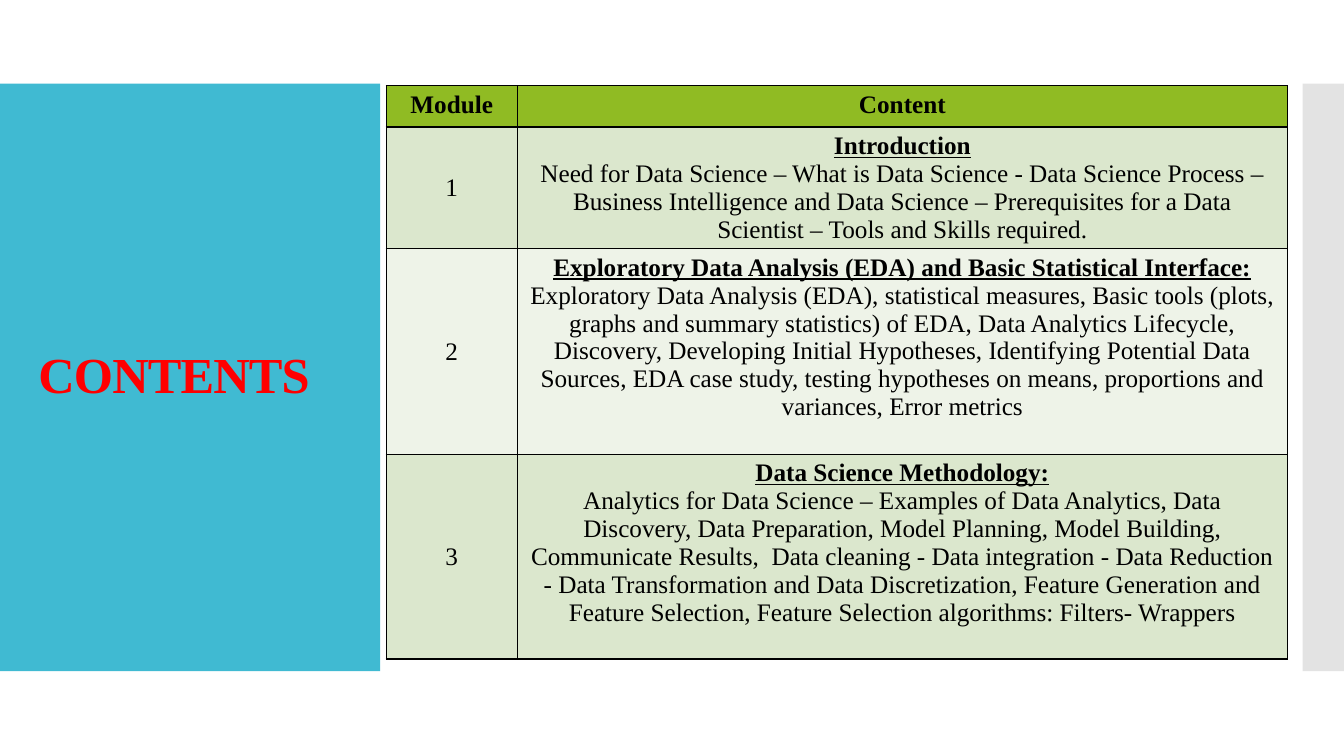
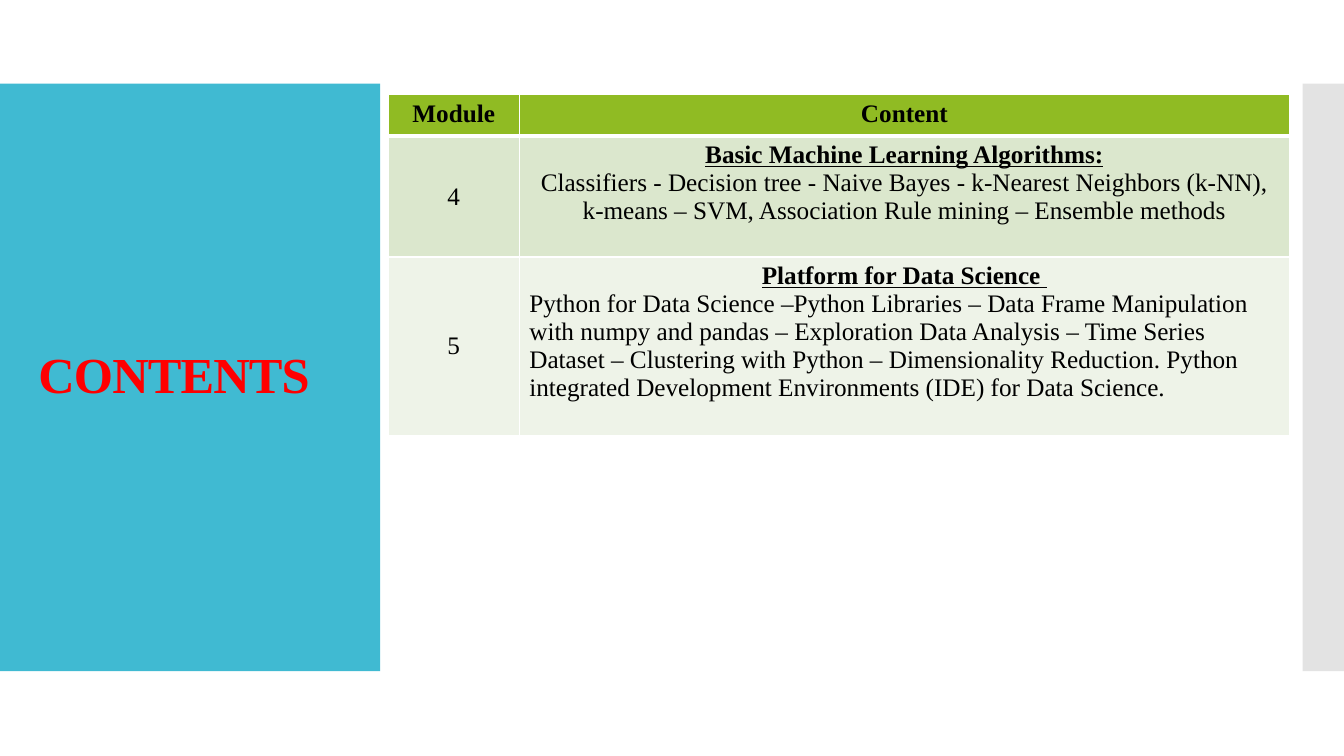
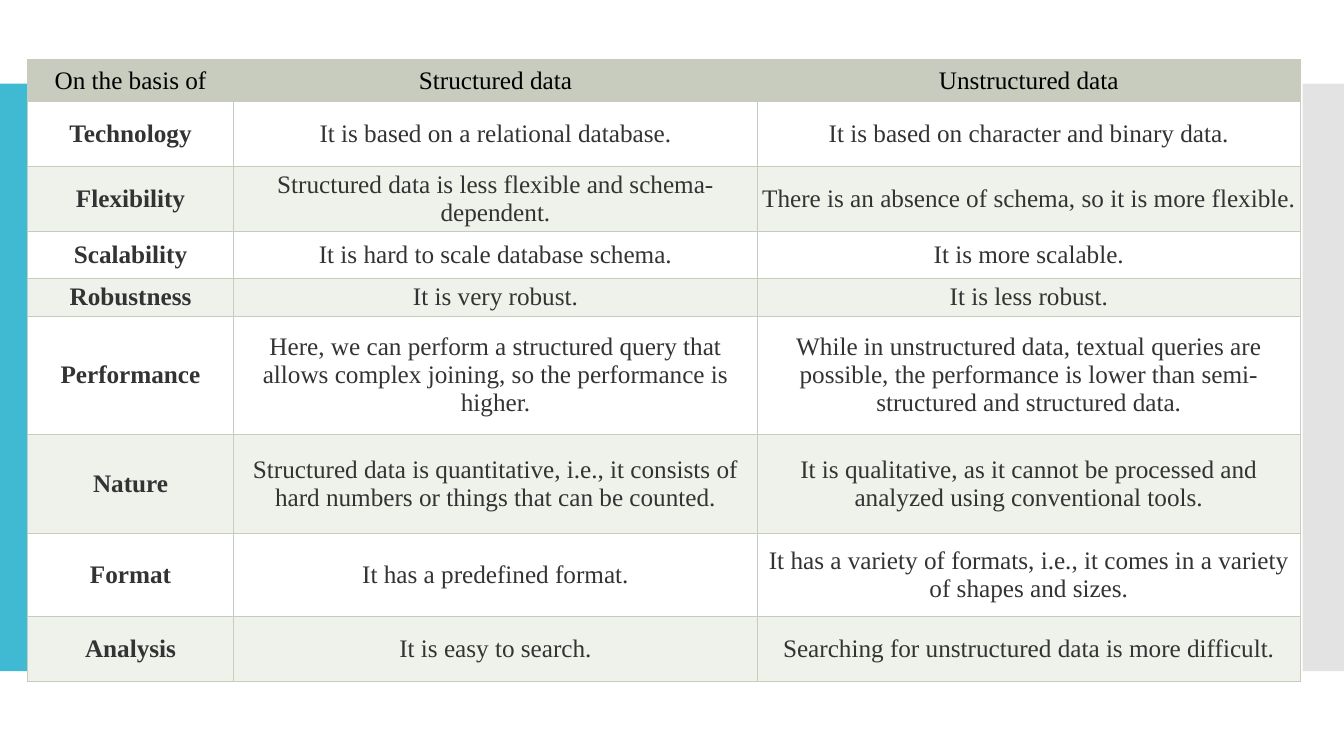
"""Build three slides on data science: two module tables and a comparison table."""
from dataclasses import dataclass
from itertools import product

from lxml.etree import SubElement
from pptx import Presentation
from pptx.dml.color import RGBColor
from pptx.enum.shapes import MSO_SHAPE
from pptx.enum.text import MSO_ANCHOR as Anchor, PP_ALIGN as Align
from pptx.oxml.ns import qn
from pptx.util import Inches, Pt

WHITE = RGBColor(0xFF, 0xFF, 0xFF)
BLACK = RGBColor(0x00, 0x00, 0x00)
RED = RGBColor(0xFF, 0x00, 0x00)
CHARCOAL = RGBColor(0x33, 0x33, 0x33)
TEAL = RGBColor(0x40, 0xBA, 0xD2)
SILVER = RGBColor(0xC8, 0xC8, 0xC8)
GREEN = RGBColor(0x90, 0xBB, 0x23)
GREEN_BANDS = (RGBColor(0xDB, 0xE7, 0xCD), RGBColor(0xEE, 0xF3, 0xE8))
SAGE = RGBColor(0xC7, 0xCC, 0xBE)
SAGE_BANDS = (WHITE, RGBColor(0xEF, 0xF1, 0xEB))

FONT = "Times New Roman"
TITLE_FORMAT = {"name": FONT, "size": Pt(36), "bold": True}
CELL_FORMAT = {"name": FONT, "size": Pt(18), "bold": False, "underline": False}
HEADING_FORMAT = CELL_FORMAT | {"bold": True, "underline": True}
TITLE_ONLY, BLANK = 5, 6


@dataclass(frozen=True)
class Band:
    """A colour band at the edge of every slide."""
    left: float
    width: float
    color: RGBColor
    opacity: int


@dataclass(frozen=True)
class Module:
    """A course module with its heading and topics."""
    number: str
    heading: str
    topics: str
    align: Align = Align.CENTER


@dataclass(frozen=True)
class Grid:
    """Place, measures and colours of a table."""
    left: float
    top: float
    columns: tuple[float, ...]
    rows: tuple[float, ...]
    header: RGBColor
    bands: tuple[RGBColor, RGBColor]
    border: RGBColor
    border_width: float = 1
    header_rule: float = 1


BANDS = (Band(0, 3.77, TEAL, 100), Band(12.92, 0.42, SILVER, 50))
MODULE_COLUMNS = (1.3, 7.64)
FIRST_GRID = Grid(3.83, 0.85, MODULE_COLUMNS, (0.41, 1.2, 2.04, 2.03),
                  GREEN, GREEN_BANDS, BLACK)
SECOND_GRID = Grid(3.85, 0.94, MODULE_COLUMNS, (0.41, 1.2, 1.77),
                   GREEN, GREEN_BANDS, WHITE, header_rule=3)
COMPARISON_GRID = Grid(0.27, 0.59, (2.05, 5.19, 5.39),
                       (0.41, 0.64, 0.65, 0.46, 0.37, 1.17, 0.99, 0.82, 0.64),
                       SAGE, SAGE_BANDS, SAGE, 0.75, 0.75)

FIRST_MODULES = (
    Module("1", "Introduction",
           "Need for Data Science – What is Data Science - Data Science Process – "
           "Business Intelligence and Data Science – Prerequisites for a Data "
           "Scientist – Tools and Skills required."),
    Module("2", "Exploratory Data Analysis (EDA) and Basic Statistical Interface:",
           "Exploratory Data Analysis (EDA), statistical measures, Basic tools (plots, "
           "graphs and summary statistics) of EDA, Data Analytics Lifecycle, "
           "Discovery, Developing Initial Hypotheses, Identifying Potential Data "
           "Sources, EDA case study, testing hypotheses on means, proportions and "
           "variances, Error metrics"),
    Module("3", "Data Science Methodology:",
           "Analytics for Data Science – Examples of Data Analytics, Data "
           "Discovery, Data Preparation, Model Planning, Model Building, "
           "Communicate Results,  Data cleaning - Data integration - Data Reduction "
           "- Data Transformation and Data Discretization, Feature Generation and "
           "Feature Selection, Feature Selection algorithms: Filters- Wrappers"),
)
SECOND_MODULES = (
    Module("4", "Basic Machine Learning Algorithms:",
           "Classifiers - Decision tree - Naive Bayes - k-Nearest Neighbors (k-NN), "
           "k-means – SVM, Association Rule mining – Ensemble methods"),
    Module("5", "Platform for Data Science ",
           "Python for Data Science –Python Libraries – Data Frame Manipulation "
           "with numpy and pandas – Exploration Data Analysis – Time Series "
           "Dataset – Clustering with Python – Dimensionality Reduction. Python "
           "integrated Development Environments (IDE) for Data Science.", Align.LEFT),
)
COMPARISON = (
    ("On the basis of", "Structured data", "Unstructured data"),
    ("Technology", "It is based on a relational database.",
     "It is based on character and binary data."),
    ("Flexibility", "Structured data is less flexible and schema-dependent.",
     "There is an absence of schema, so it is more flexible."),
    ("Scalability", "It is hard to scale database schema.", "It is more scalable."),
    ("Robustness", "It is very robust.", "It is less robust."),
    ("Performance",
     "Here, we can perform a structured query that allows complex joining, "
     "so the performance is higher.",
     "While in unstructured data, textual queries are possible, the performance "
     "is lower than semi-structured and structured data."),
    ("Nature",
     "Structured data is quantitative, i.e., it consists of hard numbers or things "
     "that can be counted.",
     "It is qualitative, as it cannot be processed and analyzed using conventional tools."),
    ("Format", "It has a predefined format.",
     "It has a variety of formats, i.e., it comes in a variety of shapes and sizes."),
    ("Analysis", "It is easy to search.",
     "Searching for unstructured data is more difficult."),
)


def apply_format(target, values: dict) -> None:
    """Set every attribute named in the format values."""
    for attribute, value in values.items():
        setattr(target, attribute, value)


def write(paragraph, text: str, values: dict, color: RGBColor, align: Align):
    """Write one formatted run into a paragraph and return it."""
    paragraph.alignment = align
    run = paragraph.add_run()
    run.text = text
    apply_format(run.font, values)
    run.font.color.rgb = color
    return run


def add_bands(deck, slide) -> None:
    """Draw the edge bands and hand them to the slide master."""
    for number, band in enumerate(BANDS):
        strip = slide.shapes.add_shape(MSO_SHAPE.RECTANGLE, Inches(band.left), Inches(0.83),
                                       Inches(band.width), Inches(5.83))
        strip.shadow.inherit = False
        strip.fill.solid()
        strip.fill.fore_color.rgb = band.color
        strip.line.fill.background()
        tint = next(strip.element.spPr.iter(qn("a:srgbClr")))
        SubElement(tint, qn("a:alpha"), val=str(band.opacity * 1000))
        strip.element.nvSpPr.cNvPr.id = 100 + number
        deck.slide_master.shapes.element.insert(2 + number, strip.element)


def add_title(slide, text: str) -> None:
    """Place and write the slide title on the teal band."""
    title = slide.shapes.title
    apply_format(title, {"left": Inches(0.28), "top": Inches(1.23),
                         "width": Inches(3.22), "height": Inches(5.03)})
    title.text_frame.vertical_anchor = Anchor.MIDDLE
    paragraph = title.text_frame.paragraphs[0]
    paragraph.line_spacing = 0.9
    run = write(paragraph, text, TITLE_FORMAT, RED, Align.LEFT)
    run.font._element.set("spc", "-60")


def add_border(cell, side: str, color: RGBColor, width: float) -> None:
    """Draw one border line of a cell."""
    line = SubElement(cell._tc.get_or_add_tcPr(), qn(f"a:ln{side}"), w=str(Pt(width)))
    fill = SubElement(line, qn("a:solidFill"))
    SubElement(fill, qn("a:srgbClr"), val=str(color))


def add_grid(slide, grid: Grid):
    """Add an empty table with the grid's sizes, fills and borders."""
    table = slide.shapes.add_table(
        len(grid.rows), len(grid.columns), Inches(grid.left), Inches(grid.top),
        Inches(sum(grid.columns)), Inches(sum(grid.rows))).table
    for column, width in zip(table.columns, grid.columns):
        column.width = Inches(width)
    for row, height in zip(table.rows, grid.rows):
        row.height = Inches(height)
    for row, column in product(range(len(grid.rows)), range(len(grid.columns))):
        cell = table.cell(row, column)
        for side in "LRTB":
            on_rule = (row, side) in ((0, "B"), (1, "T"))
            add_border(cell, side, grid.border,
                       grid.header_rule if on_rule else grid.border_width)
        cell.fill.solid()
        cell.fill.fore_color.rgb = grid.bands[(row - 1) % 2] if row else grid.header
    return table


def add_modules(slide, grid: Grid, modules: tuple[Module, ...]) -> None:
    """Fill a table with module numbers, headings and topics."""
    table = add_grid(slide, grid)
    for column, label in enumerate(("Module", "Content")):
        write(table.cell(0, column).text_frame.paragraphs[0], label,
              CELL_FORMAT | {"bold": True}, BLACK, Align.CENTER)
    for row, module in enumerate(modules, 1):
        number, content = table.cell(row, 0), table.cell(row, 1)
        number.vertical_anchor = Anchor.MIDDLE
        write(number.text_frame.paragraphs[0], module.number, CELL_FORMAT, BLACK, Align.CENTER)
        write(content.text_frame.paragraphs[0], module.heading,
              HEADING_FORMAT, BLACK, Align.CENTER)
        write(content.text_frame.add_paragraph(), module.topics,
              CELL_FORMAT, BLACK, module.align)


def add_comparison(slide) -> None:
    """Fill the table that compares structured and unstructured data."""
    table = add_grid(slide, COMPARISON_GRID)
    sides = ("margin_left", "margin_right", "margin_top", "margin_bottom")
    for row, texts in enumerate(COMPARISON):
        margin = Inches(0.05 if row else 0.07)
        for column, text in enumerate(texts):
            cell = table.cell(row, column)
            apply_format(cell, dict.fromkeys(sides, margin) | {"vertical_anchor": Anchor.MIDDLE})
            write(cell.text_frame.paragraphs[0], text,
                  CELL_FORMAT | {"bold": row > 0 and column == 0},
                  CHARCOAL if row else BLACK, Align.CENTER)


def main() -> None:
    """Build and save the presentation."""
    deck = Presentation()
    deck.slide_width, deck.slide_height = Inches(13.33), Inches(7.5)
    for grid, modules in ((FIRST_GRID, FIRST_MODULES), (SECOND_GRID, SECOND_MODULES)):
        slide = deck.slides.add_slide(deck.slide_layouts[TITLE_ONLY])
        add_title(slide, "CONTENTS")
        add_modules(slide, grid, modules)
    comparison = deck.slides.add_slide(deck.slide_layouts[BLANK])
    add_bands(deck, comparison)
    add_comparison(comparison)
    deck.save("out.pptx")


if __name__ == "__main__":
    main()
